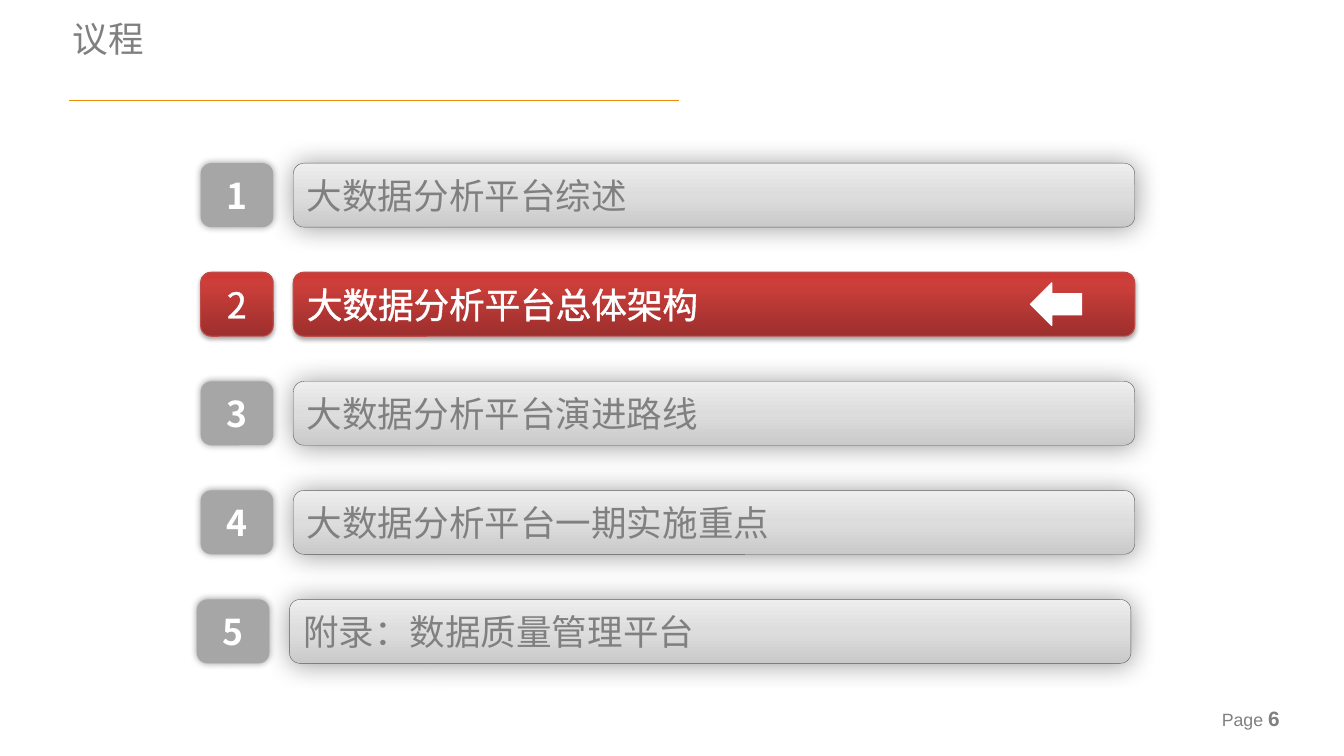
"""Build the agenda slide with the second topic highlighted."""
from dataclasses import dataclass
from typing import Optional

from lxml.etree import SubElement
from pptx import Presentation
from pptx.dml.color import RGBColor
from pptx.enum.shapes import MSO_CONNECTOR, MSO_SHAPE
from pptx.enum.text import MSO_ANCHOR, PP_ALIGN
from pptx.oxml.ns import qn
from pptx.util import Pt


@dataclass(frozen=True)
class Theme:
    cjk_font: str = "Noto Sans CJK SC"
    latin_font: str = "Arial"
    grey: str = "808080"
    white: str = "FFFFFF"
    accent: str = "EE8A04"
    heading_size: float = 24
    page_label_size: float = 12
    page_number_size: float = 14


@dataclass(frozen=True)
class Shadow:
    opacity: int
    blur: float
    distance: float = 0
    direction: int = 0


@dataclass(frozen=True)
class BoxStyle:
    stops: tuple[tuple[int, str], ...]
    shadow: Shadow
    text_color: str
    line_color: Optional[str] = None
    line_width: float = 0
    bold: bool = False
    outline: float = 0


@dataclass(frozen=True)
class Topic:
    title: str
    active: bool = False
    shift: float = 0


THEME = Theme()
BAR = BoxStyle(((0, "CACACA"), (50, "DDDDDD"), (100, "EEEEEE")), Shadow(40, 18),
               THEME.grey, "595959", 0.25, outline=0.75)
BADGE = BoxStyle(((0, "A6A6A6"),), Shadow(40, 5), THEME.white, bold=True)
ACTIVE = BoxStyle(((0, "9C2F2D"), (80, "CB3E3A"), (100, "CE3B37")),
                  Shadow(35, 3.1, 1.8, 90), THEME.white, "BF4C48", 0.75, outline=1.45)
TOPICS = (
    Topic("大数据分析平台综述"),
    Topic("大数据分析平台总体架构", active=True),
    Topic("大数据分析平台演进路线"),
    Topic("大数据分析平台一期实施重点"),
    Topic("附录：数据质量管理平台", shift=-2.6),
)
FIRST_TOP, ROW_PITCH, ROW_HEIGHT = 110.2, 73.65, 43.2
BADGE_LEFT, BADGE_WIDTH = 135.4, 49
BAR_LEFT, BAR_WIDTH = 198, 568


def rgb(color: str) -> RGBColor:
    return RGBColor.from_string(color)


def add_solid(parent, color: str):
    solid = SubElement(parent, qn("a:solidFill"))
    return SubElement(solid, qn("a:srgbClr"), val=color)


def style_run(run, font: str, size: float, color: str, bold: bool = False,
              outline: float = 0) -> None:
    run.font.name = font
    run.font.size = Pt(size)
    run.font.bold = bold
    run.font.color.rgb = rgb(color)
    properties = run.font._element
    SubElement(properties, qn("a:ea"), typeface=font)
    if outline:
        line = SubElement(properties, qn("a:ln"), w=str(Pt(outline)))
        add_solid(line, color)
        properties.insert(0, line)


def fill_shape(shape, stops: tuple[tuple[int, str], ...]) -> None:
    if len(stops) == 1:
        shape.fill.solid()
        shape.fill.fore_color.rgb = rgb(stops[0][1])
        return
    shape.fill.gradient()
    shape.fill.gradient_angle = 90
    stop_list = shape._element.spPr.find(".//" + qn("a:gsLst"))
    for stop in list(stop_list):
        stop_list.remove(stop)
    for position, color in stops:
        stop = SubElement(stop_list, qn("a:gs"), pos=str(position * 1000))
        SubElement(stop, qn("a:srgbClr"), val=color)


def add_shadow(shape, shadow: Shadow) -> None:
    effects = shape._element.spPr.find(qn("a:effectLst"))
    outer = SubElement(effects, qn("a:outerShdw"), blurRad=str(Pt(shadow.blur)),
                       dist=str(Pt(shadow.distance)), dir=str(shadow.direction * 60000),
                       algn="ctr", rotWithShape="0")
    color = SubElement(outer, qn("a:srgbClr"), val="000000")
    SubElement(color, qn("a:alpha"), val=str(shadow.opacity * 1000))


def add_box(slide, left: float, top: float, width: float, text: str,
            style: BoxStyle, alignment: PP_ALIGN) -> None:
    shape = slide.shapes.add_shape(MSO_SHAPE.ROUNDED_RECTANGLE, Pt(left), Pt(top),
                                   Pt(width), Pt(ROW_HEIGHT))
    fill_shape(shape, style.stops)
    if style.line_color:
        shape.line.color.rgb = rgb(style.line_color)
        shape.line.width = Pt(style.line_width)
    else:
        shape.line.fill.background()
    shape.shadow.inherit = False
    add_shadow(shape, style.shadow)
    frame = shape.text_frame
    frame.text = text
    frame.vertical_anchor = MSO_ANCHOR.MIDDLE
    paragraph = frame.paragraphs[0]
    paragraph.alignment = alignment
    style_run(paragraph.runs[0], THEME.cjk_font, THEME.heading_size, style.text_color,
              style.bold, style.outline)


def add_active_arrow(slide, row_top: float) -> None:
    height = 28.8
    arrow = slide.shapes.add_shape(MSO_SHAPE.LEFT_ARROW, Pt(695.5),
                                   Pt(row_top + (ROW_HEIGHT - height) / 2),
                                   Pt(34.6), Pt(height))
    fill_shape(arrow, ((0, THEME.white),))
    arrow.line.color.rgb = rgb(THEME.white)
    arrow.line.width = Pt(0.75)
    arrow.shadow.inherit = False


def add_topic(slide, index: int, topic: Topic) -> None:
    top = FIRST_TOP + index * ROW_PITCH
    add_box(slide, BAR_LEFT + topic.shift, top, BAR_WIDTH, topic.title,
            ACTIVE if topic.active else BAR, PP_ALIGN.LEFT)
    add_box(slide, BADGE_LEFT + topic.shift, top, BADGE_WIDTH, str(index + 1),
            ACTIVE if topic.active else BADGE, PP_ALIGN.CENTER)
    if topic.active:
        add_active_arrow(slide, top)


def add_heading(slide) -> None:
    title = slide.shapes.title
    title.left, title.top, title.width, title.height = Pt(41.8), Pt(11.5), Pt(640), Pt(29.5)
    frame = title.text_frame
    frame.text = "议程"
    frame.vertical_anchor = MSO_ANCHOR.TOP
    frame.margin_top = frame.margin_bottom = 0
    paragraph = frame.paragraphs[0]
    paragraph.alignment = PP_ALIGN.LEFT
    style_run(paragraph.runs[0], THEME.cjk_font, THEME.heading_size, THEME.grey)
    rule = slide.shapes.add_connector(MSO_CONNECTOR.STRAIGHT, Pt(46.4), Pt(67.6),
                                      Pt(458), Pt(67.6))
    rule.line.color.rgb = rgb(THEME.accent)
    rule.line.width = Pt(0.75)
    SubElement(rule._element.spPr, qn("a:effectLst"))


def add_page_number(slide) -> None:
    box = slide.shapes.add_textbox(Pt(817.6), Pt(475.5), Pt(89.6), Pt(18.7))
    frame = box.text_frame
    frame.word_wrap = True
    frame.vertical_anchor = MSO_ANCHOR.MIDDLE
    frame.text = "Page "
    paragraph = frame.paragraphs[0]
    number = paragraph.add_run()
    number.text = "6"
    style_run(paragraph.runs[0], THEME.latin_font, THEME.page_label_size, THEME.grey)
    style_run(number, THEME.latin_font, THEME.page_number_size, THEME.grey, bold=True)


def main() -> None:
    presentation = Presentation()
    presentation.slide_width, presentation.slide_height = Pt(907.2), Pt(510.5)
    slide = presentation.slides.add_slide(presentation.slide_layouts[5])
    add_page_number(slide)
    add_heading(slide)
    for index, topic in enumerate(TOPICS):
        add_topic(slide, index, topic)
    presentation.save("out.pptx")


if __name__ == "__main__":
    main()
